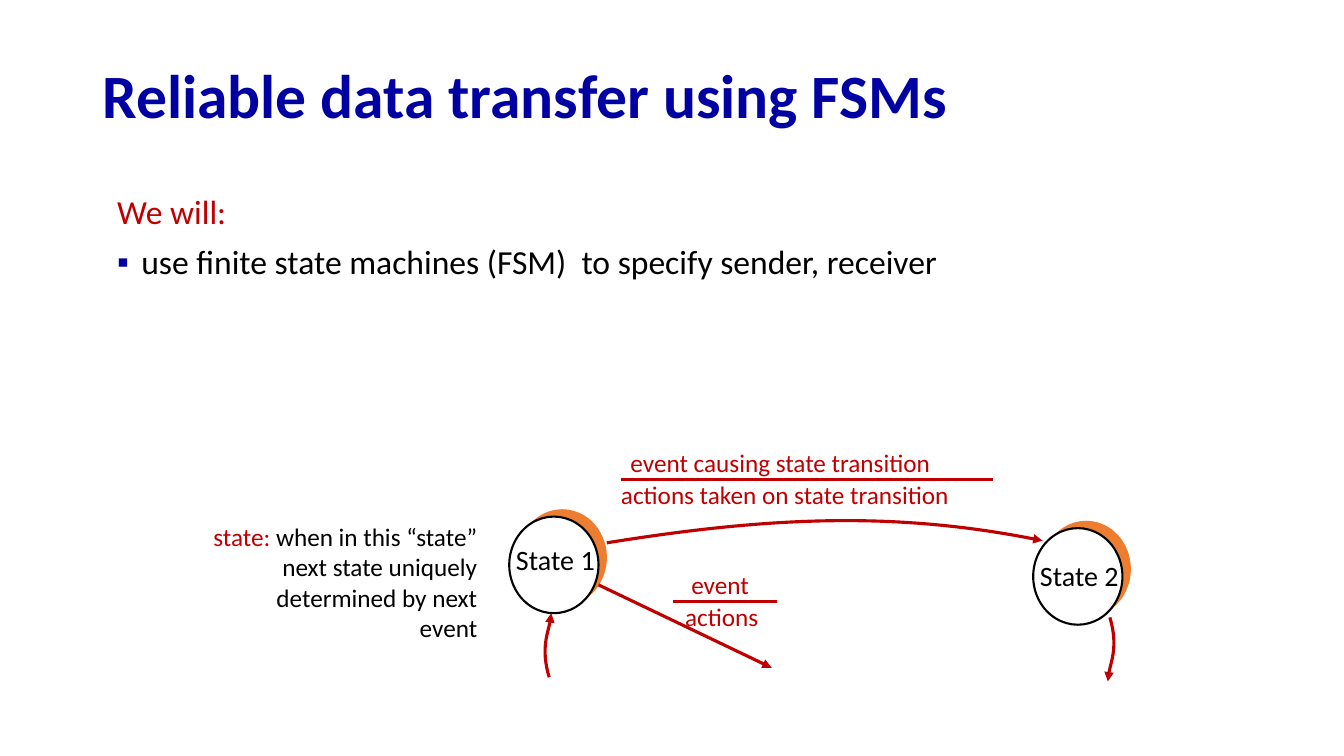
from lxml.etree import SubElement
from pptx import Presentation
from pptx.dml.color import RGBColor
from pptx.enum.shapes import MSO_CONNECTOR, MSO_SHAPE
from pptx.enum.text import MSO_ANCHOR, MSO_AUTO_SIZE, PP_ALIGN
from pptx.oxml.ns import qn
from pptx.util import Pt

PX = 9525  # EMU per px, 96 px to the inch
FONT = "Calibri"
COLORS = {"navy": "0000A3", "red": "C00000", "black": "000000",
          "white": "FFFFFF", "orange": "ED7D31"}


def px(*lengths):
    return [n * PX for n in lengths]


def rgb(name):
    return RGBColor.from_string(COLORS[name])


def add_run(p, text, size=18, color="red", bold=False):
    r = p.add_run()
    r.text = text
    r.font.name, r.font.size, r.font.bold = FONT, Pt(size), bold
    r.font.color.rgb = rgb(color)


def add_text(slide, box, text, wrap=False, **fmt):
    tf = slide.shapes.add_textbox(*px(*box)).text_frame
    tf.word_wrap = wrap
    tf.auto_size = MSO_AUTO_SIZE.SHAPE_TO_FIT_TEXT
    add_run(tf.paragraphs[0], text, **fmt)


def set_indent(p, left, bullet=None, hang=23):
    pPr = p._p.get_or_add_pPr()
    pPr.set("marL", str(left * PX))
    pPr.set("indent", str(-hang * PX))
    if bullet:
        clr = SubElement(pPr, qn("a:buClr"))
        SubElement(clr, qn("a:srgbClr")).set("val", COLORS["navy"])
        SubElement(pPr, qn("a:buFont")).set("typeface", "Arial")
        SubElement(pPr, qn("a:buChar")).set("char", bullet)
    else:
        SubElement(pPr, qn("a:buNone"))


def style_line(sp, arrow=False):
    sp.line.color.rgb = rgb("red")
    sp.line.width = Pt(2.25)
    if arrow:
        SubElement(sp.line._get_or_add_ln(), qn("a:tailEnd")).set("type", "triangle")


def add_line(slide, start, end, arrow=False):
    sp = slide.shapes.add_connector(MSO_CONNECTOR.STRAIGHT, *px(*start, *end))
    style_line(sp, arrow)
    SubElement(sp._element.spPr, qn("a:effectLst"))


def add_curve(slide, start, *controls_and_end):
    """Arrow along one cubic curve: two control points, then the end."""
    fb = slide.shapes.build_freeform(*start, scale=PX)
    fb.add_line_segments(controls_and_end, close=False)
    sp = fb.convert_to_shape()
    sp.shadow.inherit = False
    sp.fill.background()
    style_line(sp, arrow=True)
    # Turn the three straight segments into one Bézier segment
    outline = sp._element.find(".//" + qn("a:path"))
    segments = outline.findall(qn("a:lnTo"))
    bezier = SubElement(outline, qn("a:cubicBezTo"))
    for segment in segments:
        bezier.append(segment[0])
        outline.remove(segment)


def add_title(slide, box, text):
    sp = slide.shapes.title
    sp.left, sp.top, sp.width, sp.height = px(*box)
    tf = sp.text_frame
    tf.auto_size = MSO_AUTO_SIZE.NONE
    tf.vertical_anchor = MSO_ANCHOR.MIDDLE
    p = tf.paragraphs[0]
    p.alignment, p.line_spacing = PP_ALIGN.LEFT, 0.9
    add_run(p, text, size=44, color="navy", bold=True)


def add_body(slide, box, heading, item):
    sp = slide.placeholders[1]
    sp.left, sp.top, sp.width, sp.height = px(*box)
    tf = sp.text_frame
    tf.auto_size = MSO_AUTO_SIZE.NONE
    tf.vertical_anchor = MSO_ANCHOR.TOP
    lines = [(heading, "red", None), (item, "black", "▪")]
    for i, (text, color, bullet) in enumerate(lines):
        p = tf.add_paragraph() if i else tf.paragraphs[0]
        p.line_spacing, p.space_before = 0.9, Pt(10)
        set_indent(p, 37, bullet)
        add_run(p, text, size=24, color=color)


def add_state(slide, x, y, name, label_width, label_dy):
    """White circle at x, y with an orange one set behind it."""
    for dx, dy, fill in [(8, -7, "orange"), (0, 0, "white")]:
        sp = slide.shapes.add_shape(MSO_SHAPE.OVAL, *px(x + dx, y + dy, 85, 92))
        sp.shadow.inherit = False
        sp.fill.solid()
        sp.fill.fore_color.rgb = rgb(fill)
        if fill == "white":
            sp.line.color.rgb = rgb("black")
            sp.line.width = Pt(1.5)
        else:
            sp.line.fill.background()
    add_text(slide, (x - 3, y + label_dy, label_width, 42), name,
             size=20, color="black")


def add_transition(slide, x, y, rule_width, event, actions):
    """Event over actions, parted by a rule; each text is (words, dx, width)."""
    for (text, dx, width), dy in [(event, 0), (actions, 31)]:
        add_text(slide, (x + dx, y + dy, width, 38), text)
    add_line(slide, (x, y + 36), (x + rule_width, y + 36))


def add_state_note(slide, box):
    tf = slide.shapes.add_textbox(*px(*box)).text_frame
    tf.word_wrap = True
    p = tf.paragraphs[0]
    p.alignment, p.space_before = PP_ALIGN.RIGHT, Pt(3.6)
    set_indent(p, 36, hang=36)
    add_run(p, "state: ")
    add_run(p, "when in this “state” next state uniquely determined by next event",
            color="black")


def add_state_machine(slide):
    # States and the note beside them
    add_state(slide, 485, 492, "State 1", 109, 20)
    add_state(slide, 984, 503, "State 2", 95, 24)
    add_state_note(slide, (173, 492, 291, 130))
    # Arrows between, into and out of the states
    add_curve(slide, (578, 517), (733, 492), (857, 487), (993, 515))
    add_curve(slide, (523, 645), (515, 618), (525, 593), (525, 584))
    add_curve(slide, (1057, 588), (1065, 615), (1055, 639), (1055, 649))
    add_line(slide, (570, 557), (735, 636), arrow=True)
    # Transition labels
    add_transition(slide, 591, 421, 355, ("event causing state transition", 0, 308),
                   ("actions taken on state transition", -9, 335))
    add_transition(slide, 641, 537, 99, ("event", 8, 75), ("actions", 2, 90))


def main():
    prs = Presentation()
    prs.slide_width, prs.slide_height = px(1280, 720)
    slide = prs.slides.add_slide(prs.slide_layouts[1])
    add_title(slide, (88, 47, 1104, 94), "Reliable data transfer using FSMs")
    add_body(slide, (88, 181, 1104, 457), "We will:",
             "use finite state machines (FSM)  to specify sender, receiver")
    add_state_machine(slide)
    prs.save("out.pptx")


if __name__ == "__main__":
    main()
